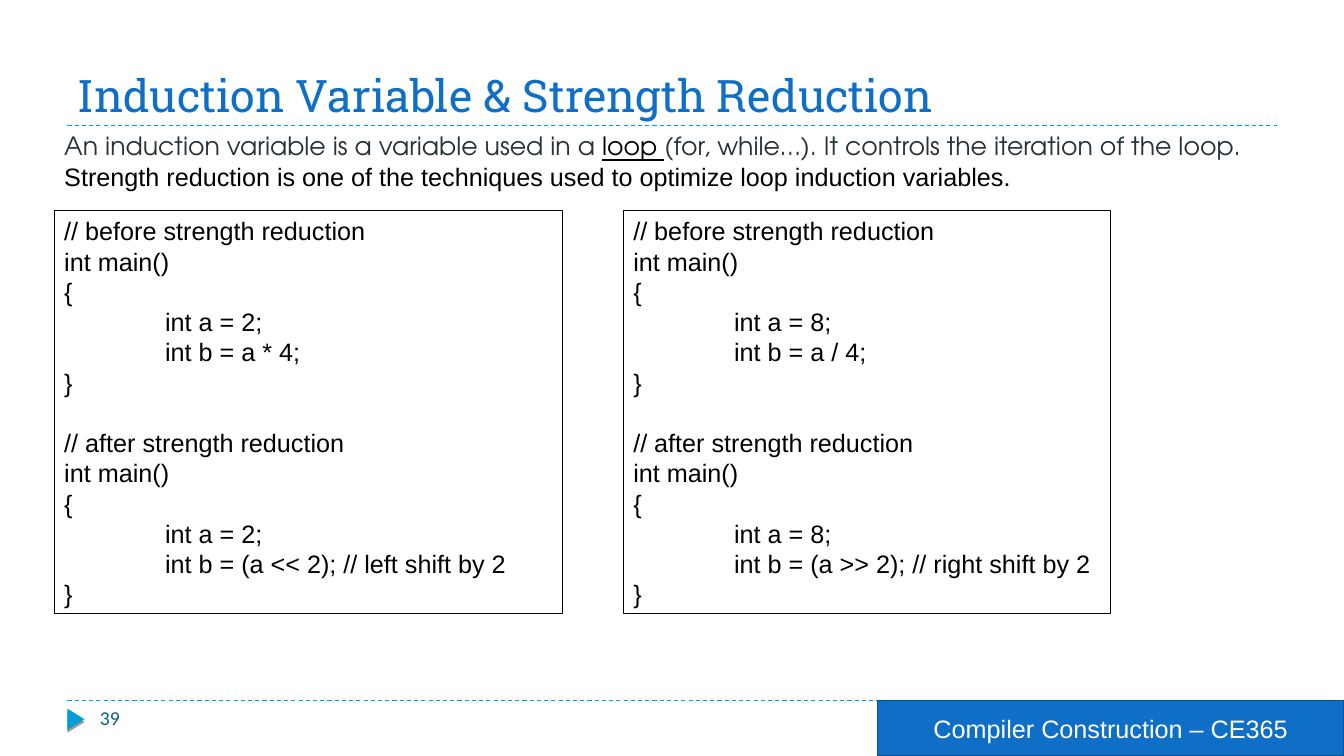
from lxml.etree import SubElement
from pptx import Presentation
from pptx.dml.color import RGBColor
from pptx.enum.dml import MSO_LINE
from pptx.enum.shapes import MSO_CONNECTOR, MSO_SHAPE
from pptx.enum.text import MSO_ANCHOR, PP_ALIGN
from pptx.oxml import parse_xml
from pptx.oxml.ns import nsdecls, qn
from pptx.util import Cm, Pt

BLUE = "0F6FC6"
CYAN = "009DD9"
BLACK = "000000"
SLATE = "273239"
INTRO_FONT = "TeX Gyre Adventor"
CODE_LINE = 21.6
CODE_TAB = 2.54

RULE_LEFT, RULE_RIGHT = 1.7, 32.17
TITLE_RULE, FOOTER_RULE = 3.17, 17.65


def color(value):
    return RGBColor.from_string(value)


def write(para, text, size=18, font="Arial", fill=BLACK, underline=False):
    span = para.add_run()
    span.text = text
    span.font.size = Pt(size)
    span.font.name = font
    span.font.color.rgb = color(fill)
    if underline:
        span.font.underline = True


def add_tab_stop(para, position):
    stops = SubElement(para._p.get_or_add_pPr(), qn("a:tabLst"))
    SubElement(stops, qn("a:tab"), pos=str(Cm(position)), algn="l")


def add_text_box(page, left, top, width, height, anchor=MSO_ANCHOR.TOP):
    box = page.shapes.add_textbox(Cm(left), Cm(top), Cm(width), Cm(height))
    box.text_frame.word_wrap = True
    box.text_frame.vertical_anchor = anchor
    return box.text_frame


def add_block(page, kind, left, top, width, height, fill=None, line=None, weight=0.75):
    block = page.shapes.add_shape(kind, Cm(left), Cm(top), Cm(width), Cm(height))
    block.shadow.inherit = False
    if fill:
        block.fill.solid()
        block.fill.fore_color.rgb = color(fill)
    else:
        block.fill.background()
    if line:
        block.line.color.rgb = color(line)
        block.line.width = Pt(weight)
    else:
        block.line.fill.background()
    return block


def add_dashed_rule(page, top):
    rule = page.shapes.add_connector(
        MSO_CONNECTOR.STRAIGHT, Cm(RULE_LEFT), Cm(top), Cm(RULE_RIGHT), Cm(top))
    rule.line.color.rgb = color(CYAN)
    rule.line.width = Pt(0.75)
    rule.line.dash_style = MSO_LINE.DASH
    SubElement(rule._element.spPr, qn("a:effectLst"))


def add_page_marker(page):
    marker = add_block(page, MSO_SHAPE.ISOSCELES_TRIANGLE, 1.65, 17.91, 0.53, 0.43, fill=CYAN)
    marker.rotation = 90
    effects = marker._element.spPr.find(qn("a:effectLst"))
    effects.append(parse_xml(
        f'<a:outerShdw {nsdecls("a")} dist="{Pt(2)}" dir="5400000">'
        f'<a:srgbClr val="{BLACK}"><a:alpha val="40000"/></a:srgbClr></a:outerShdw>'))
    number = add_text_box(page, 2.27, 17.67, 7.34, 1.02)
    write(number.paragraphs[0], "39", size=14, font="Calibri", fill="04617B")


def add_course_banner(page, text):
    banner = add_block(page, MSO_SHAPE.RECTANGLE, 22.11, FOOTER_RULE, 11.76, 1.4,
                       fill=BLUE, line="085091", weight=1)
    para = banner.text_frame.paragraphs[0]
    para.alignment = PP_ALIGN.CENTER
    write(para, text, fill="FFFFFF")


def main_function(value, expression):
    return ["int main()", "{", f"\tint a = {value};", f"\tint b = {expression}", "}"]


def add_code_panel(page, left, width, value, before, after):
    """Show the program before and after, one blank line's height apart."""
    panel = add_block(page, MSO_SHAPE.RECTANGLE, left, 5.31, width, 10.16, line=BLACK)
    frame = panel.text_frame
    frame.vertical_anchor = MSO_ANCHOR.TOP
    second_heading = "// after strength reduction"
    lines = ["// before strength reduction", *main_function(value, before),
             second_heading, *main_function(value, after)]
    for index, line in enumerate(lines):
        para = frame.add_paragraph() if index else frame.paragraphs[0]
        add_tab_stop(para, CODE_TAB)
        para.alignment = PP_ALIGN.LEFT
        para.line_spacing = Pt(CODE_LINE)
        if line == second_heading:
            para.space_before = Pt(CODE_LINE)
        write(para, line)


def add_intro(page):
    frame = add_text_box(page, 1.37, TITLE_RULE, 31.04, 1.78)
    para = frame.paragraphs[0]
    write(para, "An induction variable is a variable used in a ", font=INTRO_FONT, fill=SLATE)
    write(para, "loop ", font=INTRO_FONT, underline=True)
    write(para, "(for, while…). It controls the iteration of the loop.",
          font=INTRO_FONT, fill=SLATE)
    write(frame.add_paragraph(),
          "Strength reduction is one of the techniques used to optimize loop induction variables.")


def main():
    deck = Presentation()
    deck.slide_width, deck.slide_height = Cm(33.87), Cm(19.05)
    page = deck.slides.add_slide(deck.slide_layouts[6])

    for top in (FOOTER_RULE, TITLE_RULE):
        add_dashed_rule(page, top)
    title = add_text_box(page, RULE_LEFT, 0.44, 30.48, 2.74, anchor=MSO_ANCHOR.BOTTOM)
    write(title.paragraphs[0], "Induction Variable & Strength Reduction",
          size=32, font="Roboto Slab", fill=BLUE)
    add_page_marker(page)
    add_course_banner(page, "Compiler Construction – CE365")
    add_intro(page)
    add_code_panel(page, 1.37, 12.8, 2, "a * 4;", "(a << 2); // left shift by 2")
    add_code_panel(page, 15.71, 12.27, 8, "a / 4;", "(a >> 2); // right shift by 2")
    deck.save("out.pptx")


if __name__ == "__main__":
    main()
